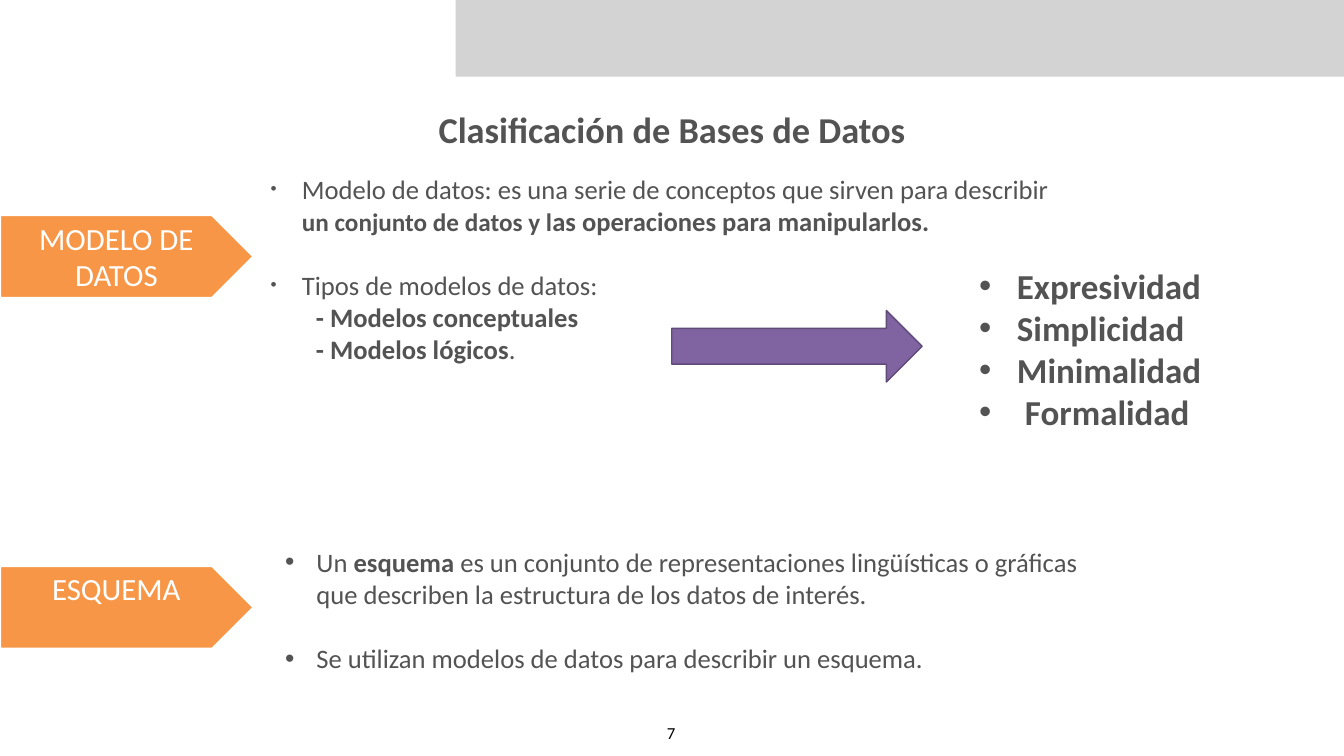
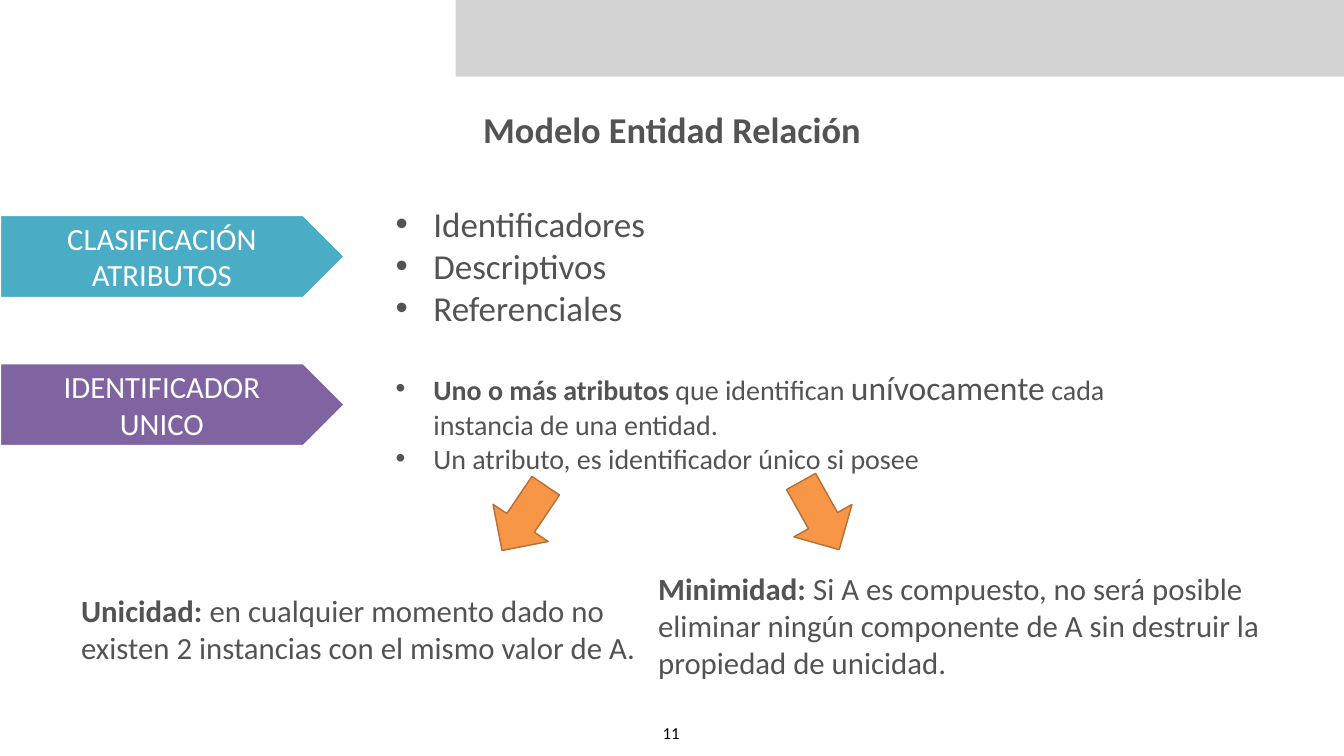
from dataclasses import dataclass

from lxml import etree
from pptx import Presentation
from pptx import util as u
from pptx.dml.color import RGBColor
from pptx.enum import shapes, text
from pptx.oxml import ns

Inches, Pt = u.Inches, u.Pt


@dataclass(frozen=True)
class Theme:
    font: str = "Calibri"
    ink: str = "535353"
    black: str = "000000"
    white: str = "FFFFFF"
    band: str = "D3D3D3"
    orange: str = "F79646"
    orange_edge: str = "B76F34"
    purple: str = "8064A2"
    purple_edge: str = "5F4A78"
    teal: str = "4BACC6"
    title: int = 52
    large: int = 50
    accent: int = 48
    label: int = 44
    medium: int = 40
    body: int = 38
    small: int = 36
    number: int = 24


@dataclass
class Run:
    text: str
    bold: bool = False
    size: int = 0


@dataclass
class Para:
    """A paragraph; hang is the depth of its hanging bullet, margin a plain indent."""
    runs: list
    hang: float = 0
    margin: float = 0
    before: int = 0
    bullet_scale: int = 100


def bullets(lines, hang, bold=False):
    return [Para([Run(line, bold)], hang) for line in lines]


class Deck:
    WIDTH, HEIGHT = 26.67, 15

    def __init__(self, theme):
        self.theme = theme
        self.prs = Presentation()
        self.prs.slide_width = Inches(self.WIDTH)
        self.prs.slide_height = Inches(self.HEIGHT)
        self.s = None

    def slide(self, title, number):
        t = self.theme
        self.s = self.prs.slides.add_slide(self.prs.slide_layouts[6])
        self.shape(shapes.MSO_SHAPE.RECTANGLE, (9.04, 0, self.WIDTH - 9.04, 1.52), t.band)
        self.text((5.29, 2.05, 16.09, 1.03), [Para([Run(title, True)])], t.title,
                  middle=True, center=True)
        self.text((13.07, 14.26, 0.5, 0.55), [Para([Run(str(number))])], t.number,
                  color=t.black, center=True, wrap=False)

    def shape(self, kind, box, fill, edge=None, weight=2, rotation=0):
        sp = self.s.shapes.add_shape(kind, *map(Inches, box))
        sp.shadow.inherit = False
        sp.fill.solid()
        sp.fill.fore_color.rgb = RGBColor.from_string(fill)
        if edge:
            sp.line.color.rgb = RGBColor.from_string(edge)
            sp.line.width = Pt(weight)
        else:
            sp.line.fill.background()
        sp.rotation = rotation
        return sp

    def tag(self, top, width, lines, fill):
        """Pentagon label attached to the left edge of the slide."""
        t = self.theme
        sp = self.shape(shapes.MSO_SHAPE.PENTAGON, (0, top, width, 1.64), fill, t.white, 3)
        self.fill_text(sp.text_frame, [Para([Run(line)]) for line in lines], t.label,
                       t.white, center=True)

    def text(self, box, paras, size, color=None, middle=False, center=False, wrap=True):
        sp = self.s.shapes.add_textbox(*map(Inches, box))
        self.fill_text(sp.text_frame, paras, size, color or self.theme.ink,
                       middle, center, wrap)

    def fill_text(self, tf, paras, size, color, middle=False, center=False, wrap=True):
        tf.word_wrap = wrap
        tf.vertical_anchor = text.MSO_ANCHOR.MIDDLE if middle else text.MSO_ANCHOR.TOP
        tf.margin_left = tf.margin_right = tf.margin_top = tf.margin_bottom = Inches(0.08)
        for i, para in enumerate(paras):
            p = tf.add_paragraph() if i else tf.paragraphs[0]
            p.alignment = text.PP_ALIGN.CENTER if center else text.PP_ALIGN.LEFT
            if para.before:
                p.space_before = Pt(para.before)
            self.indent(p, para)
            for run in para.runs:
                r = p.add_run()
                r.text = run.text
                r.font.name = self.theme.font
                r.font.size = Pt(run.size or size)
                r.font.bold = run.bold
                r.font.color.rgb = RGBColor.from_string(color)

    @staticmethod
    def indent(p, para):
        pPr = p._p.get_or_add_pPr()
        if para.margin:
            pPr.set("marL", str(Inches(para.margin)))
        if para.hang:
            pPr.set("marL", str(Inches(para.hang)))
            pPr.set("indent", str(-Inches(para.hang)))
            for name, key, value in (("a:buSzPct", "val", str(para.bullet_scale * 1000)),
                                     ("a:buFont", "typeface", "Arial"),
                                     ("a:buChar", "char", "•")):
                etree.SubElement(pPr, ns.qn(name)).set(key, value)


def data_models(d):
    t = d.theme
    d.slide("Clasificación de Bases de Datos", 7)
    d.text((5.29, 3.35, 16.09, 4.63), [
        Para([Run("Modelo de datos: es una serie de conceptos que sirven para describir "),
              Run("un conjunto de datos y l", True, t.small),
              Run("as operaciones para manipularlos.", True)], 0.62, bullet_scale=65),
        Para([Run("Tipos de modelos de datos:")], 0.62, before=46, bullet_scale=65),
        Para([Run("- Modelos conceptuales", True)], margin=0.9),
        Para([Run("- Modelos lógicos", True), Run(".")], margin=0.9),
    ], t.body)
    d.tag(4.27, 5.03, ["MODELO DE", "DATOS"], t.orange)
    qualities = bullets(["Expresividad", "Simplicidad", "Minimalidad", "Formalidad"],
                        0.75, bold=True)
    qualities[-1].hang = 0.91
    d.text((19.35, 5.15, 6, 3.52), qualities, t.large, middle=True)
    d.shape(shapes.MSO_SHAPE.RIGHT_ARROW, (13.33, 6.16, 4.97, 1.42), t.purple, t.purple_edge)

    d.tag(11.23, 5.03, ["ESQUEMA"], t.orange)
    d.text((5.58, 10.75, 16.2, 3.36), [
        Para([Run("Un "), Run("esquema ", True),
              Run("es un conjunto de representaciones lingüísticas o gráficas que describen "
                  "la estructura de los datos de interés.")], 0.62),
        Para([Run("Se utilizan modelos de datos para describir un esquema.")], 0.62, before=46),
    ], t.body)


def entity_relationship(d):
    t = d.theme
    d.slide("Modelo Entidad Relación", 11)
    d.tag(4.27, 6.84, ["CLASIFICACIÓN", "ATRIBUTOS"], t.teal)
    d.text((7.77, 3.92, 10.42, 2.68),
           bullets(["Identificadores", "Descriptivos", "Referenciales"], 0.75),
           t.large, middle=True)

    d.tag(7.21, 6.84, ["IDENTIFICADOR", "UNICO"], t.purple)
    d.text((7.77, 7.21, 15.42, 2.99), [
        Para([Run("Uno o más atributos ", True), Run("que identifican "),
              Run("unívocamente", size=t.accent),
              Run(" cada instancia de una entidad.")], 0.75),
        Para([Run("Un atributo, es identificador único si posee")], 0.75),
    ], t.medium)

    conditions = (
        ((1.53, 11.29, 11.45, 2.38), "Unicidad:",
         " en cualquier momento dado no existen 2 instancias con el mismo valor de A."),
        ((12.98, 11.22, 13.13, 2.38), "Minimidad:",
         " Si A es compuesto, no será posible eliminar ningún componente de A sin destruir "
         "la propiedad de unicidad."),
    )
    for box, term, meaning in conditions:
        d.text(box, [Para([Run(term, True), Run(meaning)])], t.label, middle=True)
    for left, top, rotation in ((9.62, 9.62, 304), (15.5, 9.57, 240.8)):
        d.shape(shapes.MSO_SHAPE.LEFT_ARROW, (left, top, 1.55, 1.32), t.orange,
                t.orange_edge, rotation=rotation)


def main():
    d = Deck(Theme())
    data_models(d)
    entity_relationship(d)
    d.prs.save("out.pptx")


if __name__ == "__main__":
    main()
